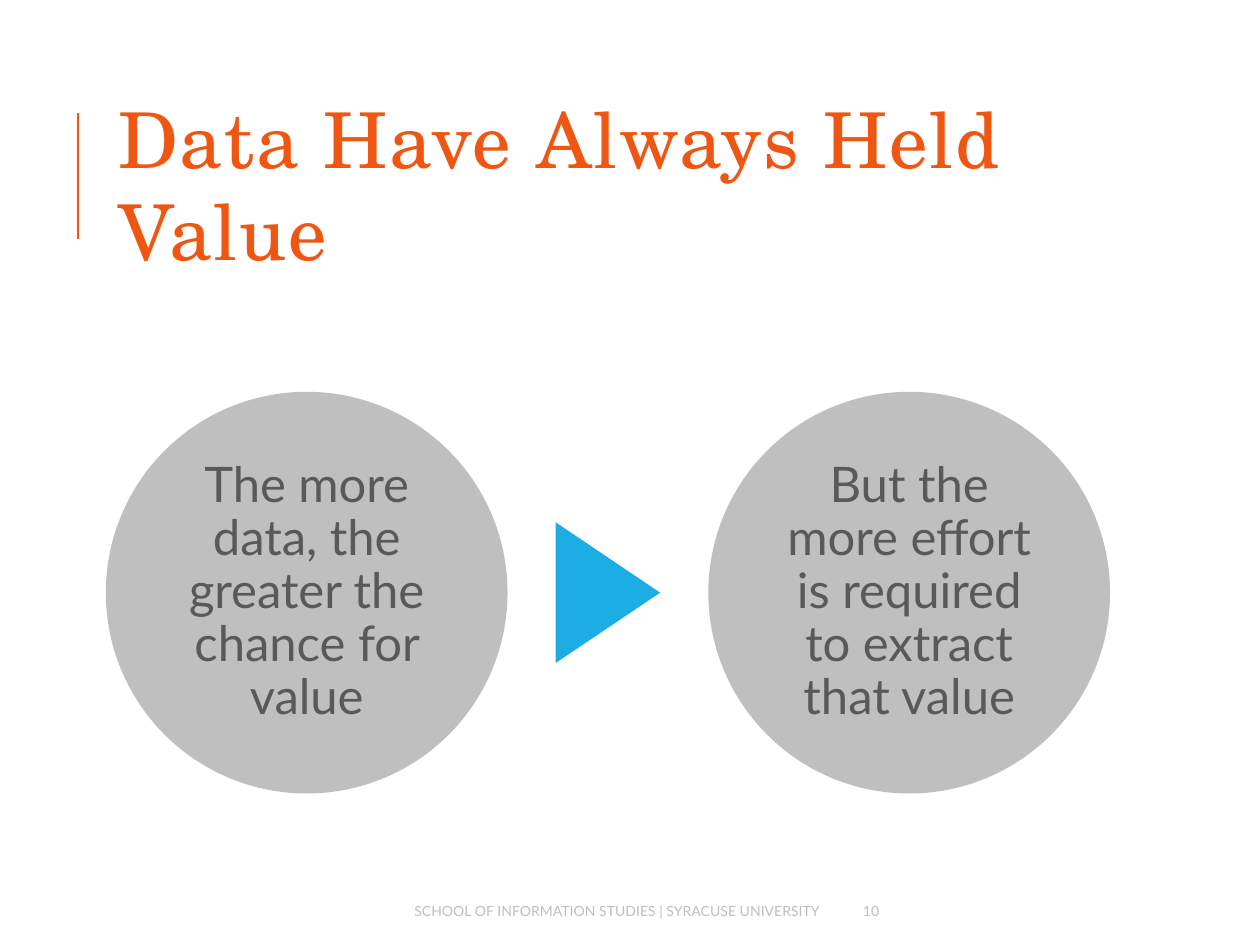
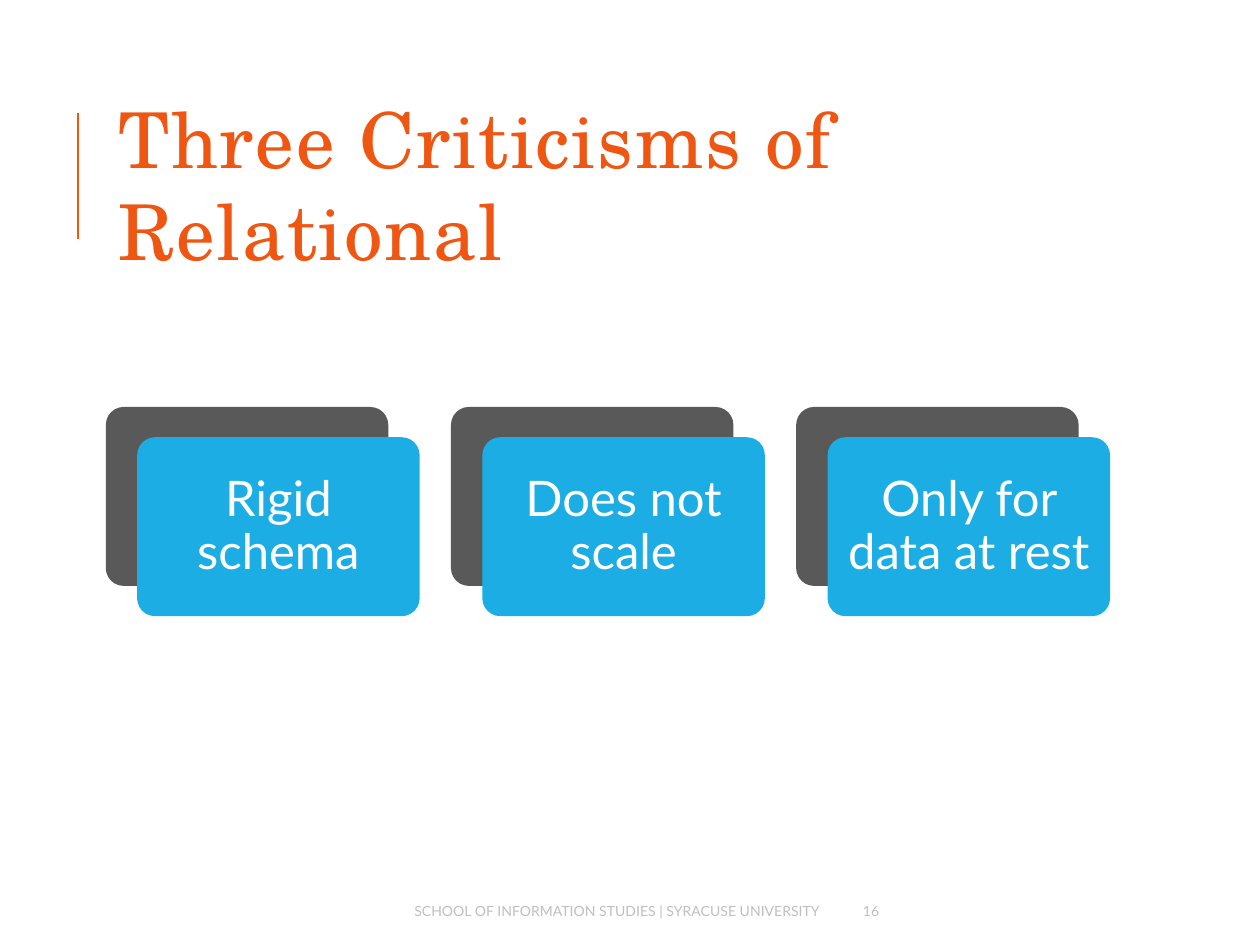
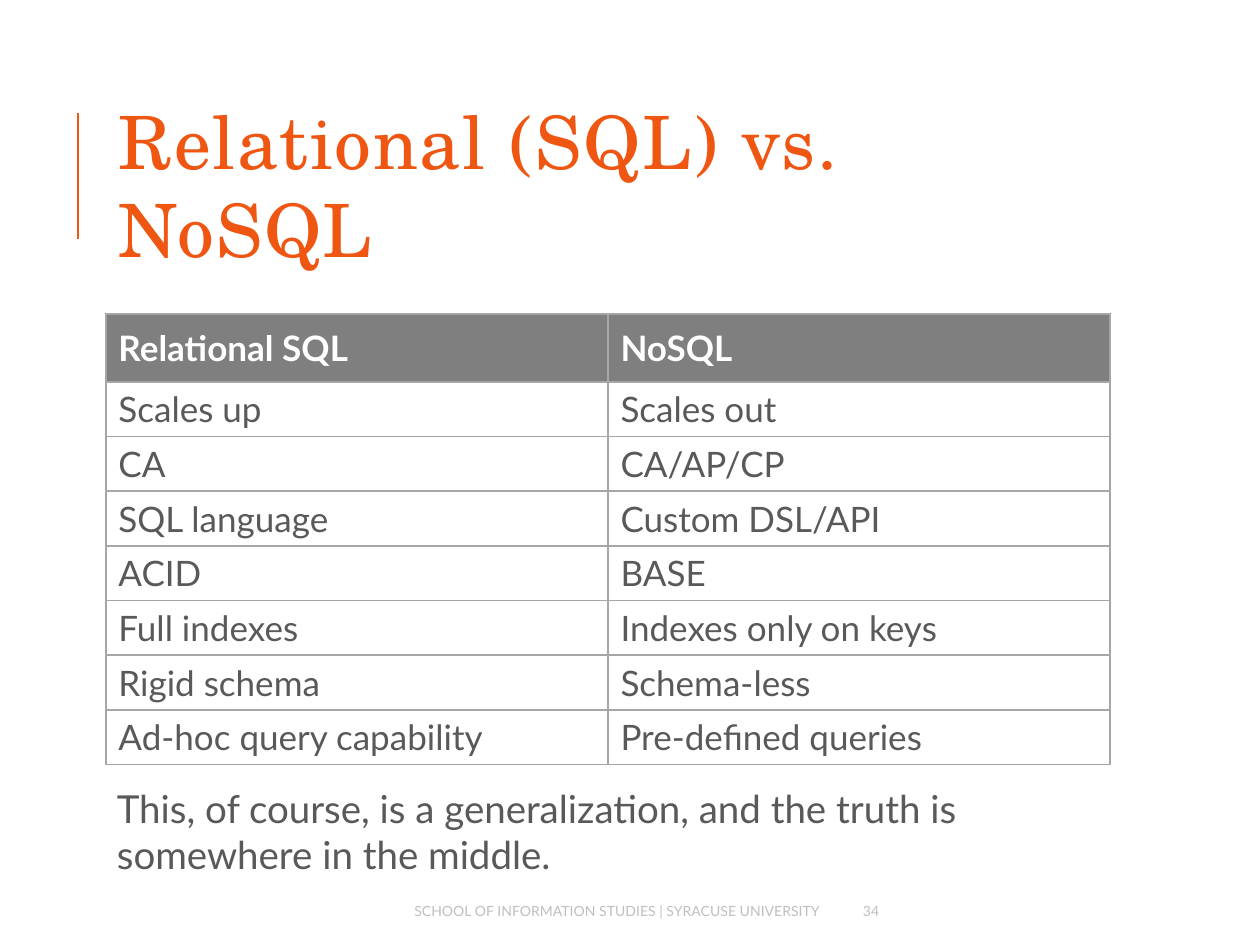
from dataclasses import dataclass

from pptx import Presentation
from pptx.dml.color import RGBColor
from pptx.enum.shapes import MSO_CONNECTOR, MSO_SHAPE
from pptx.enum.text import MSO_ANCHOR, PP_ALIGN
from pptx.oxml import parse_xml
from pptx.oxml.ns import nsdecls
from pptx.util import Inches, Pt

ORANGE = RGBColor(0xEE, 0x56, 0x12)
BLUE = RGBColor(0x1C, 0xAD, 0xE4)
WHITE = RGBColor(0xFF, 0xFF, 0xFF)
SILVER = RGBColor(0xBF, 0xBF, 0xBF)
BORDER = RGBColor(0xA6, 0xA6, 0xA6)
GRAY = RGBColor(0x7F, 0x7F, 0x7F)
DARK = RGBColor(0x59, 0x59, 0x59)
SERIF = "TeX Gyre Schola"
SANS = "Lato"


@dataclass
class Box:
    x: float
    y: float
    w: float
    h: float

    def emu(self):
        return [Inches(v) for v in (self.x, self.y, self.w, self.h)]


PAGE = Box(0, 0, 10, 7.5)
TITLE = Box(0.84, 0.64, 7.97, 1.64)
CIRCLES = Box(0.84, 3.11, 7.97, 3.19)
CARDS = Box(0.84, 3.23, 7.97, 1.66)
TABLE = Box(0.84, 2.49, 7.97, 3.41)
NOTE = Box(0.83, 6.18, 7.97, 0.68)
FOOTER = Box(1.89, 7.08, 5.77, 0.3)


def write(frame, text, size, color, font=SANS, align=PP_ALIGN.LEFT, bold=False):
    para = frame.paragraphs[0]
    para.alignment = align
    run = para.add_run()
    run.text = text
    run.font.name = font
    run.font.size = Pt(size)
    run.font.bold = bold
    run.font.color.rgb = color
    return run


def add_text(slide, box, text, size, color, anchor=MSO_ANCHOR.MIDDLE, **style):
    frame = slide.shapes.add_textbox(*box.emu()).text_frame
    frame.word_wrap = True
    frame.vertical_anchor = anchor
    return write(frame, text, size, color, **style)


def add_form(slide, kind, box, fill):
    form = slide.shapes.add_shape(kind, *box.emu())
    form.shadow.inherit = False
    form.fill.solid()
    form.fill.fore_color.rgb = fill
    form.line.fill.background()
    return form


def label(form, text, color, inset):
    frame = form.text_frame
    frame.word_wrap = True
    frame.vertical_anchor = MSO_ANCHOR.MIDDLE
    frame.margin_left = frame.margin_right = Inches(inset)
    frame.margin_top = frame.margin_bottom = Inches(inset)
    write(frame, text, 28, color, align=PP_ALIGN.CENTER)
    frame.paragraphs[0].line_spacing = 0.9


def add_title(slide, box, text, size):
    x, top = Inches(box.x - 0.22), box.y + 0.26
    rule = slide.shapes.add_connector(
        MSO_CONNECTOR.STRAIGHT, x, Inches(top + 1), x, Inches(top))
    rule.line.color.rgb = ORANGE
    rule.line.width = Pt(1.5)
    rule._element.spPr.append(parse_xml(f"<a:effectLst {nsdecls('a')}/>"))
    run = add_text(slide, box, text, size, ORANGE, font=SERIF)
    run._r.get_or_add_rPr().set("spc", "100")


def add_footer(slide, box, number):
    school = Box(box.x, box.y, 4.72, box.h)
    page = Box(box.x + 4.86, box.y, 0.91, box.h)
    add_text(slide, school, "SCHOOL OF INFORMATION STUDIES | SYRACUSE UNIVERSITY",
             8, SILVER, align=PP_ALIGN.RIGHT)
    add_text(slide, page, str(number), 8, SILVER)


def add_circles(slide, box, texts):
    size = box.w * 0.4
    for i, text in enumerate(texts):
        spot = Box(box.x + i * (box.w - size), box.y, size, size)
        label(add_form(slide, MSO_SHAPE.OVAL, spot, SILVER), text, DARK, 0.04)
    wide, high = size * 0.35, size * 0.26
    spot = Box(box.x + (box.w - wide) / 2, box.y + (size - high) / 2, wide, high)
    arrow = add_form(slide, MSO_SHAPE.ISOSCELES_TRIANGLE, spot, BLUE)
    arrow.rotation = 90


def add_cards(slide, box, texts):
    unit = box.w / 32
    drop = 0.24
    for i, text in enumerate(texts):
        back = Box(box.x + 11 * unit * i, box.y, 9 * unit, box.h - drop)
        front = Box(back.x + unit, back.y + drop, back.w, back.h)
        for spot, fill in ((back, DARK), (front, BLUE)):
            card = add_form(slide, MSO_SHAPE.ROUNDED_RECTANGLE, spot, fill)
            card.adjustments[0] = 0.1
        label(card, text, WHITE, 0.12)


def add_border(cell):
    props = cell._tc.get_or_add_tcPr()
    for i, side in enumerate(("lnL", "lnR", "lnT", "lnB")):
        props.insert(i, parse_xml(
            f'<a:{side} {nsdecls("a")} w="12700"><a:solidFill>'
            f'<a:srgbClr val="{BORDER}"/></a:solidFill></a:{side}>'))


def add_grid(slide, box, rows):
    table = slide.shapes.add_table(len(rows), len(rows[0]), *box.emu()).table
    table.horz_banding = False
    for col in table.columns:
        col.width = Inches(box.w / len(rows[0]))
    for r, row in enumerate(rows):
        head = r == 0
        table.rows[r].height = Inches(0.54 if head else 0.41)
        for c, text in enumerate(row):
            cell = table.cell(r, c)
            cell.fill.solid()
            cell.fill.fore_color.rgb = GRAY if head else WHITE
            cell.vertical_anchor = MSO_ANCHOR.MIDDLE if head else MSO_ANCHOR.TOP
            write(cell.text_frame, text, 20, WHITE if head else DARK, bold=head)
            add_border(cell)


def add_slide(deck, title, number, size=44):
    slide = deck.slides.add_slide(deck.slide_layouts[6])
    add_title(slide, TITLE, title, size)
    add_footer(slide, FOOTER, number)
    return slide


def main():
    deck = Presentation()
    deck.slide_width, deck.slide_height = Inches(PAGE.w), Inches(PAGE.h)

    slide = add_slide(deck, "Data Have Always Held Value", 10)
    add_circles(slide, CIRCLES, [
        "The more data, the greater the chance for value",
        "But the more effort is required to extract that value",
    ])

    slide = add_slide(deck, "Three Criticisms of Relational", 16)
    add_cards(slide, CARDS, ["Rigid schema", "Does not scale", "Only for data at rest"])

    slide = add_slide(deck, "Relational (SQL) vs. NoSQL", 34, 42)
    add_grid(slide, TABLE, [
        ("Relational SQL", "NoSQL"),
        ("Scales up", "Scales out"),
        ("CA", "CA/AP/CP"),
        ("SQL language", "Custom DSL/API"),
        ("ACID", "BASE"),
        ("Full indexes", "Indexes only on keys"),
        ("Rigid schema", "Schema-less"),
        ("Ad-hoc query capability", "Pre-defined queries"),
    ])
    add_text(slide, NOTE,
             "This, of course, is a generalization, and the truth is somewhere in the middle.",
             22, DARK, anchor=MSO_ANCHOR.TOP)

    deck.save("out.pptx")


if __name__ == "__main__":
    main()
